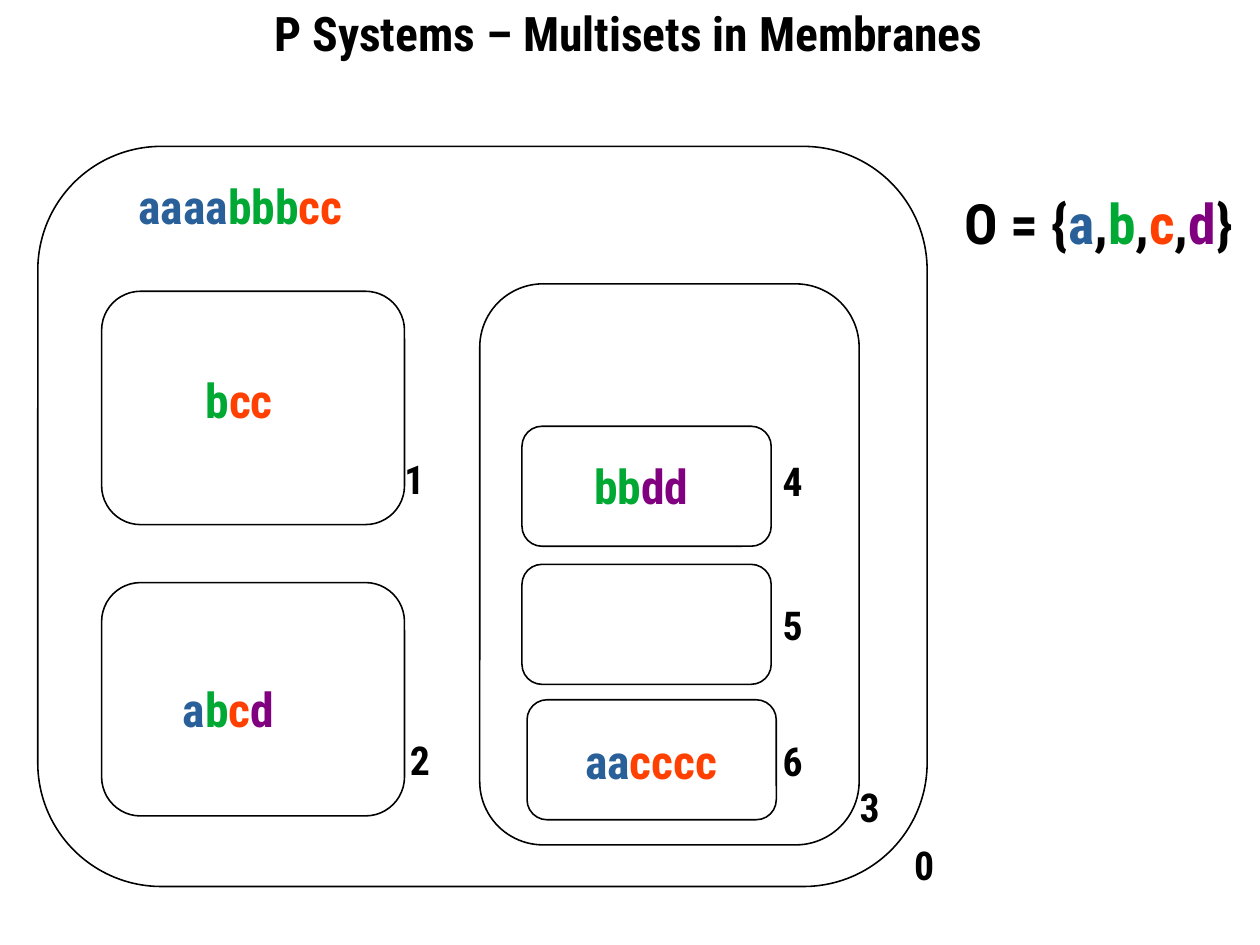
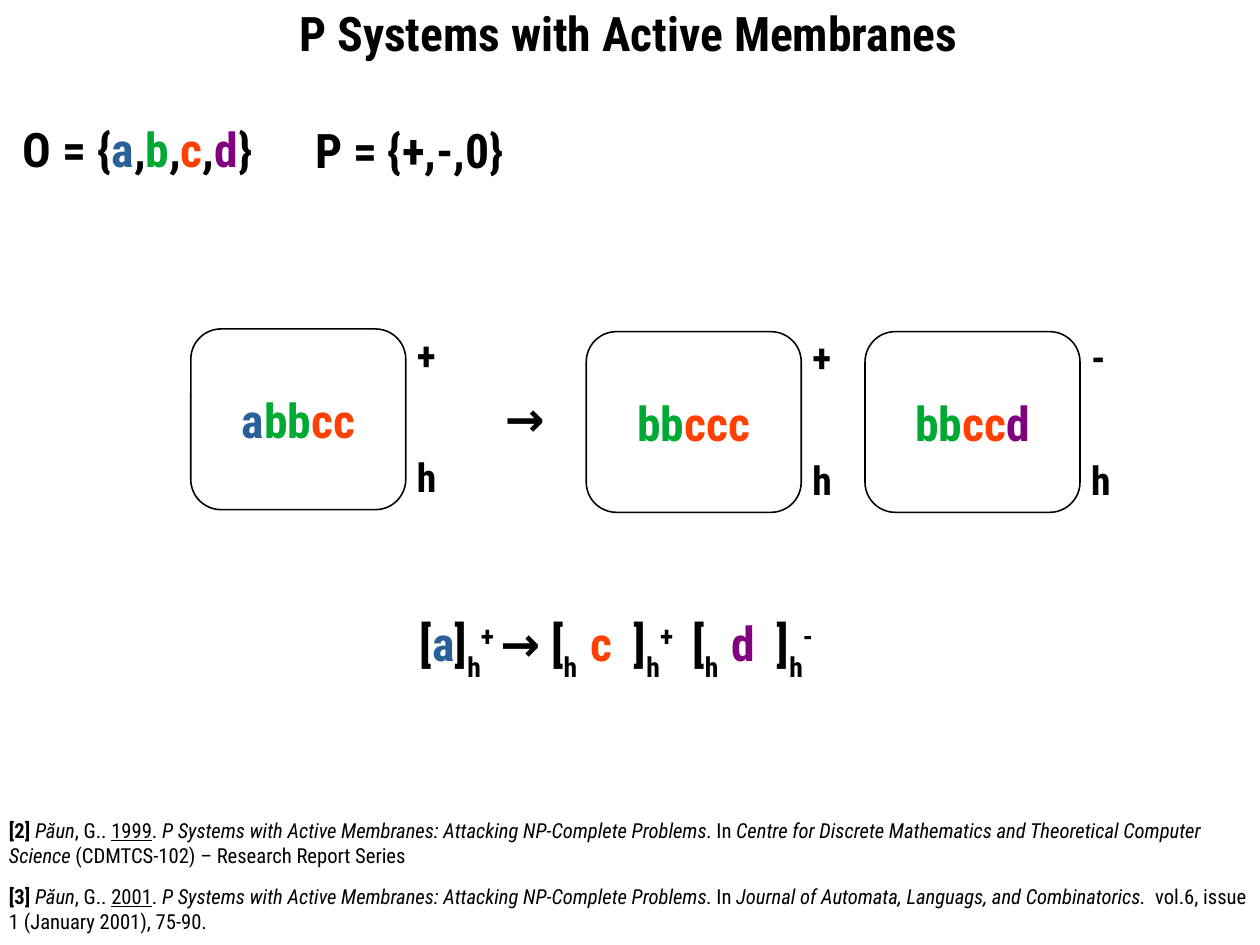
import itertools
from dataclasses import dataclass

import pptx
import pptx.dml.color
import pptx.enum.shapes
import pptx.enum.text
import pptx.util

Pt = pptx.util.Pt
ANCHOR = pptx.enum.text.MSO_ANCHOR
ALIGN = pptx.enum.text.PP_ALIGN

SLIDE_WIDTH, SLIDE_HEIGHT = 793.7, 595.28
FONT = "Roboto Condensed"
COLOURS = {
    "ink": "000000",
    "a": "2A6099",
    "b": "00A933",
    "c": "FF4000",
    "d": "800080",
}
TITLE_SIZE, SYMBOL_SIZE, LABEL_SIZE, ALPHABET_SIZE, REFERENCE_SIZE = 30, 30, 25, 35, 13
CORNER = 0.167
ALPHABET = "O = {a,b,c,d}"


@dataclass
class Span:
    text: str
    colour: str = "ink"
    bold: bool = True
    italic: bool = False
    underline: bool = False
    baseline: int = 0


@dataclass
class Label:
    text: str
    left: float
    top: float
    width: float
    size: float = SYMBOL_SIZE


@dataclass
class Membrane:
    left: float
    top: float
    width: float
    height: float


@dataclass
class Reference:
    number: int
    year: int
    venue: str
    ending: str


@dataclass
class Cell:
    """A polarised membrane with its multiset and charge."""
    left: float
    top: float
    multiset: str
    charge: str


NESTED_MEMBRANES = [
    Membrane(23.8, 92.2, 560.2, 466.2),
    Membrane(64, 183.5, 190.8, 147),
    Membrane(64, 367, 190.8, 147),
    Membrane(302.2, 178.8, 239, 353.4),
    Membrane(328.8, 268.5, 157, 75.6),
    Membrane(328.8, 355.5, 157, 75.6),
    Membrane(332, 440.8, 157, 75.6),
]
NUMBER_POSITIONS = [
    (568.8, 526.4), (247.6, 283), (251.2, 460), (534.4, 489.6),
    (486, 284.2), (486, 375), (486, 460.8),
]
MULTISETS = [
    Label("aaaabbbcc", 80, 108, 146),
    Label("bcc", 122.4, 230.4, 66),
    Label("abcd", 108, 424.8, 80),
    Label("bbdd", 367.2, 284.4, 80),
    Label("aacccc", 361.5, 457.2, 102),
]
CELL_WIDTH, CELL_HEIGHT = 135.4, 113.8
CELLS = [
    Cell(120.2, 207.2, "abbcc", "+"),
    Cell(369.3, 208.9, "bbccc", "+"),
    Cell(544.9, 208.9, "bbccd", "-"),
]
SUB, SUP = -33000, 33000
DIVISION_RULE = [
    (" [a]", 0), ("h", SUB), ("+ ", SUP),
    ("→ [", 0), ("h  ", SUB), ("c  ]", 0), ("h", SUB), ("+   ", SUP),
    ("[", 0), ("h  ", SUB), ("d  ]", 0), ("h", SUB), ("-", SUP),
]
REFERENCES = [
    Reference(2, 1999,
              "Centre for Discrete Mathematics and Theoretical Computer Science",
              " (CDMTCS-102) – Research Report Series"),
    Reference(3, 2001,
              "Journal of Automata, Languags, and Combinatorics.",
              "  vol.6, issue 1 (January 2001), 75-90."),
]


def symbol_spans(text: str, baseline: int = 0) -> list[Span]:
    """Split text into spans, each object letter in its own colour."""
    groups = itertools.groupby(text, lambda letter: letter if letter in COLOURS else "ink")
    return [Span("".join(letters), colour, baseline=baseline) for colour, letters in groups]


def reference_spans(reference: Reference) -> list[Span]:
    return [
        Span(f"[{reference.number}] "),
        Span("Păun", bold=False, italic=True),
        Span(", G.. ", bold=False),
        Span(str(reference.year), bold=False, underline=True),
        Span(". ", bold=False),
        Span("P Systems with Active Membranes: Attacking NP-Complete Problems",
             bold=False, italic=True),
        Span(". In ", bold=False),
        Span(reference.venue, bold=False, italic=True),
        Span(reference.ending, bold=False),
    ]


def write_spans(paragraph, spans: list[Span], size: float) -> None:
    for span in spans:
        run = paragraph.add_run()
        run.text = span.text
        font = run.font
        font.name = FONT
        font.size = Pt(size)
        font.bold = span.bold
        font.italic = span.italic
        font.underline = span.underline
        font.color.rgb = pptx.dml.color.RGBColor.from_string(COLOURS[span.colour])
        if span.baseline:
            run._r.get_or_add_rPr().set("baseline", str(span.baseline))


def add_text_box(page, left: float, top: float, width: float, height: float):
    """Add a wrapping text box and return its text frame."""
    box = page.shapes.add_textbox(Pt(left), Pt(top), Pt(width), Pt(height))
    box.text_frame.word_wrap = True
    return box.text_frame


def add_label(page, label: Label) -> None:
    frame = add_text_box(page, label.left, label.top, label.width, label.size * 1.56)
    write_spans(frame.paragraphs[0], symbol_spans(label.text), label.size)


def add_membrane(page, membrane: Membrane):
    shape = page.shapes.add_shape(
        pptx.enum.shapes.MSO_SHAPE.ROUNDED_RECTANGLE,
        Pt(membrane.left), Pt(membrane.top), Pt(membrane.width), Pt(membrane.height))
    shape.adjustments[0] = CORNER
    shape.shadow.inherit = False
    shape.fill.background()
    shape.line.width = Pt(1)
    shape.line.color.rgb = pptx.dml.color.RGBColor.from_string(COLOURS["ink"])
    return shape


def add_cell(page, cell: Cell) -> None:
    shape = add_membrane(page, Membrane(cell.left, cell.top, CELL_WIDTH, CELL_HEIGHT))
    frame = shape.text_frame
    frame.word_wrap = False
    frame.vertical_anchor = ANCHOR.MIDDLE
    frame.paragraphs[0].alignment = ALIGN.CENTER
    write_spans(frame.paragraphs[0], symbol_spans(cell.multiset), SYMBOL_SIZE)
    right = cell.left + CELL_WIDTH
    add_label(page, Label(cell.charge, right, cell.top - 2.5, 21.6, LABEL_SIZE))
    add_label(page, Label("h", right, cell.top + 74.8, 21.6, LABEL_SIZE))


def add_titled_page(deck, title: str):
    page = deck.slides.add_slide(deck.slide_layouts[5])
    box = page.shapes.title
    box.left, box.top, box.width, box.height = Pt(0), Pt(1), Pt(792), Pt(39.5)
    frame = box.text_frame
    frame.margin_left = frame.margin_right = frame.margin_top = frame.margin_bottom = 0
    frame.auto_size = pptx.enum.text.MSO_AUTO_SIZE.NONE
    frame.vertical_anchor = ANCHOR.MIDDLE
    frame.paragraphs[0].alignment = ALIGN.CENTER
    write_spans(frame.paragraphs[0], [Span(title)], TITLE_SIZE)
    return page


def build_multisets_page(deck) -> None:
    page = add_titled_page(deck, "P Systems – Multisets in Membranes")
    for membrane in NESTED_MEMBRANES:
        add_membrane(page, membrane)
    for number, (left, top) in enumerate(NUMBER_POSITIONS):
        add_label(page, Label(str(number), left, top, 42, LABEL_SIZE))
    for multiset in MULTISETS:
        add_label(page, multiset)
    add_label(page, Label(ALPHABET, 600.5, 115.4, 186, ALPHABET_SIZE))


def build_active_membranes_page(deck) -> None:
    page = add_titled_page(deck, "P Systems with Active Membranes")
    add_label(page, Label(ALPHABET, 7.2, 72, 168))
    add_label(page, Label("P = {+,-,0}", 191.4, 72.6, 138))
    for cell in CELLS:
        add_cell(page, cell)
    add_label(page, Label("→", 311, 241.2, 39.6))

    rule = add_text_box(page, 250.4, 383.4, 283, 53.2)
    spans = [span for text, baseline in DIVISION_RULE for span in symbol_spans(text, baseline)]
    write_spans(rule.paragraphs[0], spans, SYMBOL_SIZE)

    frame = add_text_box(page, -1.4, 511.8, 795, 87)
    for index, reference in enumerate(REFERENCES):
        paragraph = frame.add_paragraph() if index else frame.paragraphs[0]
        paragraph.space_before = Pt(10 if index else 0)
        write_spans(paragraph, reference_spans(reference), REFERENCE_SIZE)


def main() -> None:
    deck = pptx.Presentation()
    deck.slide_width, deck.slide_height = Pt(SLIDE_WIDTH), Pt(SLIDE_HEIGHT)
    build_multisets_page(deck)
    build_active_membranes_page(deck)
    deck.save("out.pptx")


if __name__ == "__main__":
    main()
